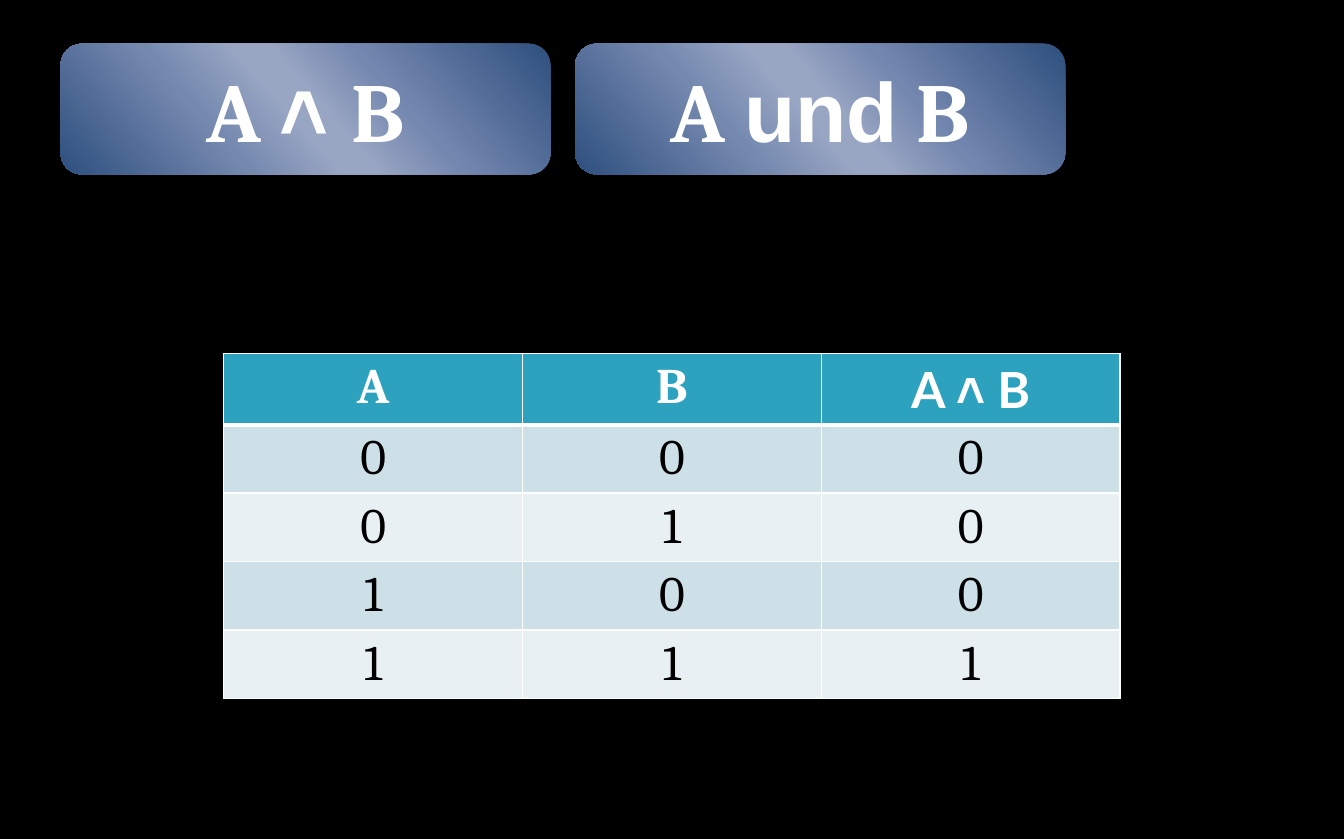
"""Build a slide with the truth table of the logical AND."""
import dataclasses

import lxml.etree
import pptx
import pptx.dml.color
import pptx.enum.shapes
import pptx.enum.text
import pptx.oxml
import pptx.oxml.ns
import pptx.util

EMU_PER_PX = 9144


@dataclasses.dataclass(frozen=True)
class Theme:
    background: str = "000000"
    light: str = "FFFFFF"
    dark: str = "000000"
    header: str = "2DA2BF"
    bands: tuple = ("CDE0E8", "E8F0F4")
    gradient: tuple = ((0, "2E4F7E"), (33, "7487AF"), (47, "98A5C3"),
                       (53, "98A5C3"), (68, "7589AF"), (100, "2E4F7E"))
    gradient_angle: int = 139
    serif: str = "Cambria"
    sans: str = "Arial"
    label: str = "Lato"
    title_size: int = 54
    table_size: int = 32
    thin: int = 1
    thick: int = 3


def px(length):
    return pptx.util.Emu(length * EMU_PER_PX)


def rgb(value):
    return pptx.dml.color.RGBColor.from_string(value)


def append_xml(parent, tag, **attributes):
    element = lxml.etree.SubElement(parent, pptx.oxml.ns.qn(tag))
    for name, value in attributes.items():
        element.set(name, str(value))
    return element


class SlideBuilder:
    def __init__(self, presentation, theme):
        self.theme = theme
        self.slide = presentation.slides.add_slide(presentation.slide_layouts[6])
        fill = self.slide.background.fill
        fill.solid()
        fill.fore_color.rgb = rgb(theme.background)

    def add_text(self, text_frame, runs, color, size, bold):
        paragraph = text_frame.paragraphs[0]
        paragraph.alignment = pptx.enum.text.PP_ALIGN.CENTER
        for text, font_name in runs:
            run = paragraph.add_run()
            run.text = text
            run.font.color.rgb = rgb(color)
            font_format = {"name": font_name, "size": pptx.util.Pt(size), "bold": bold}
            for name, value in font_format.items():
                setattr(run.font, name, value)

    def banner(self, left, top, width, height, runs):
        shape = self.slide.shapes.add_shape(
            pptx.enum.shapes.MSO_SHAPE.ROUNDED_RECTANGLE,
            px(left), px(top), px(width), px(height))
        shape.shadow.inherit = False
        shape.line.fill.background()
        shape.fill.gradient()
        shape.fill.gradient_angle = 360 - self.theme.gradient_angle
        stops = shape.element.spPr.find(".//" + pptx.oxml.ns.qn("a:gsLst"))
        for stop in list(stops):
            stops.remove(stop)
        for position, color in self.theme.gradient:
            stop = append_xml(stops, "a:gs", pos=position * 1000)
            append_xml(stop, "a:srgbClr", val=color)
        shape.text_frame.vertical_anchor = pptx.enum.text.MSO_ANCHOR.MIDDLE
        self.add_text(shape.text_frame, runs, self.theme.light, self.theme.title_size, True)

    def borders(self, cell, top, bottom):
        properties = cell._tc.get_or_add_tcPr()
        widths = {"L": self.theme.thin, "R": self.theme.thin, "T": top, "B": bottom}
        for side, width in widths.items():
            line = append_xml(properties, f"a:ln{side}", w=pptx.util.Pt(width))
            fill = append_xml(line, "a:solidFill")
            append_xml(fill, "a:srgbClr", val=self.theme.light)

    def truth_table(self, left, top, column_width, row_height, rows):
        theme = self.theme
        columns = len(rows[0])
        table = self.slide.shapes.add_table(
            len(rows), columns, px(left), px(top),
            px(column_width * columns), px(row_height * len(rows))).table
        for row_index, row in enumerate(rows):
            is_header = row_index == 0
            background = theme.header if is_header else theme.bands[(row_index - 1) % 2]
            color = theme.light if is_header else theme.dark
            for column_index, runs in enumerate(row):
                cell = table.cell(row_index, column_index)
                self.borders(cell,
                             theme.thick if row_index == 1 else theme.thin,
                             theme.thick if is_header else theme.thin)
                cell.fill.solid()
                cell.fill.fore_color.rgb = rgb(background)
                self.add_text(cell.text_frame, runs, color, theme.table_size, is_header)


def main():
    theme = Theme()
    presentation = pptx.Presentation()
    presentation.slide_width = px(1201)
    presentation.slide_height = px(750)
    builder = SlideBuilder(presentation, theme)

    banners = [
        [("A ", theme.serif), ("˄ ", theme.sans), ("B", theme.serif)],
        [("A ", theme.serif), ("und", theme.sans), (" B", theme.serif)],
    ]
    for index, runs in enumerate(banners):
        builder.banner(54 + 460 * index, 39, 438, 117, runs)

    header = [[("A", theme.serif)], [("B", theme.serif)],
              [("A ", theme.label), ("˄", theme.sans), (" B", theme.label)]]
    values = [[[(str(value), theme.serif)] for value in (a, b, a & b)]
              for a in (0, 1) for b in (0, 1)]
    builder.truth_table(200, 316, 267, 59, [header] + values)
    presentation.save("out.pptx")


if __name__ == "__main__":
    main()
